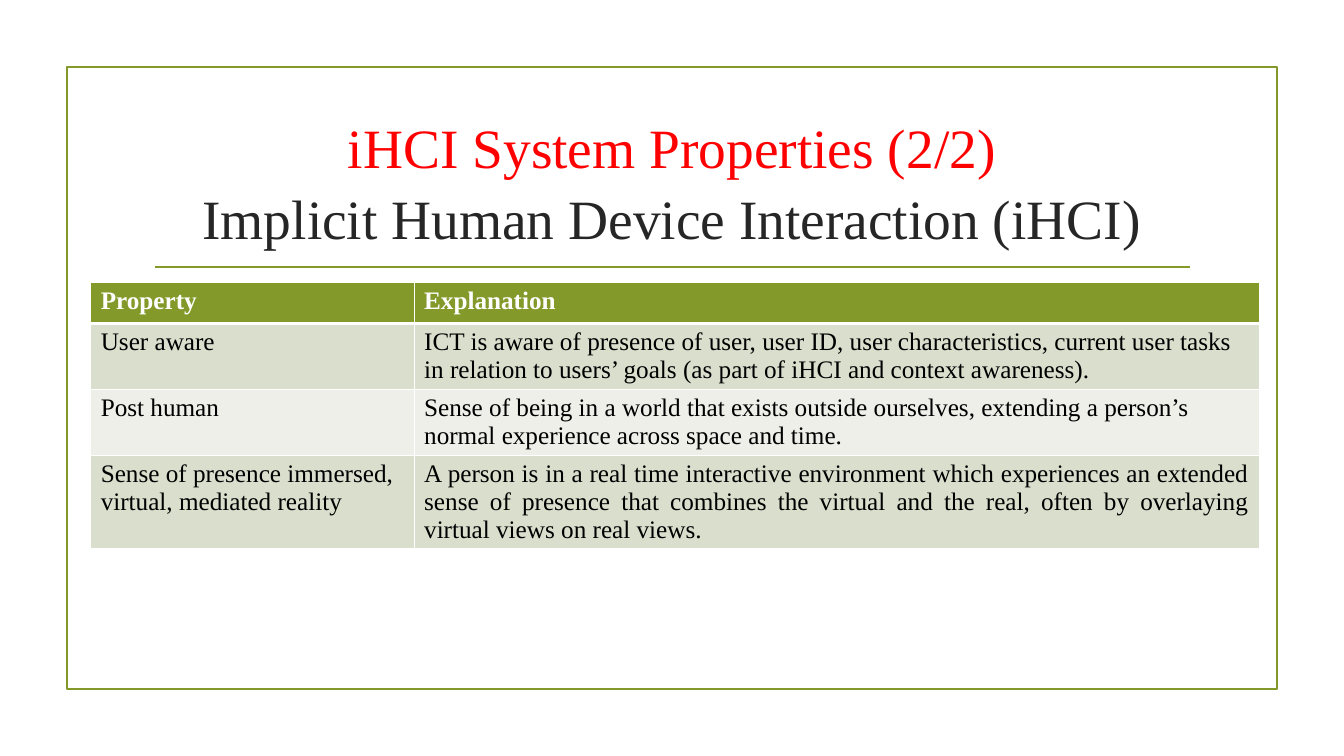
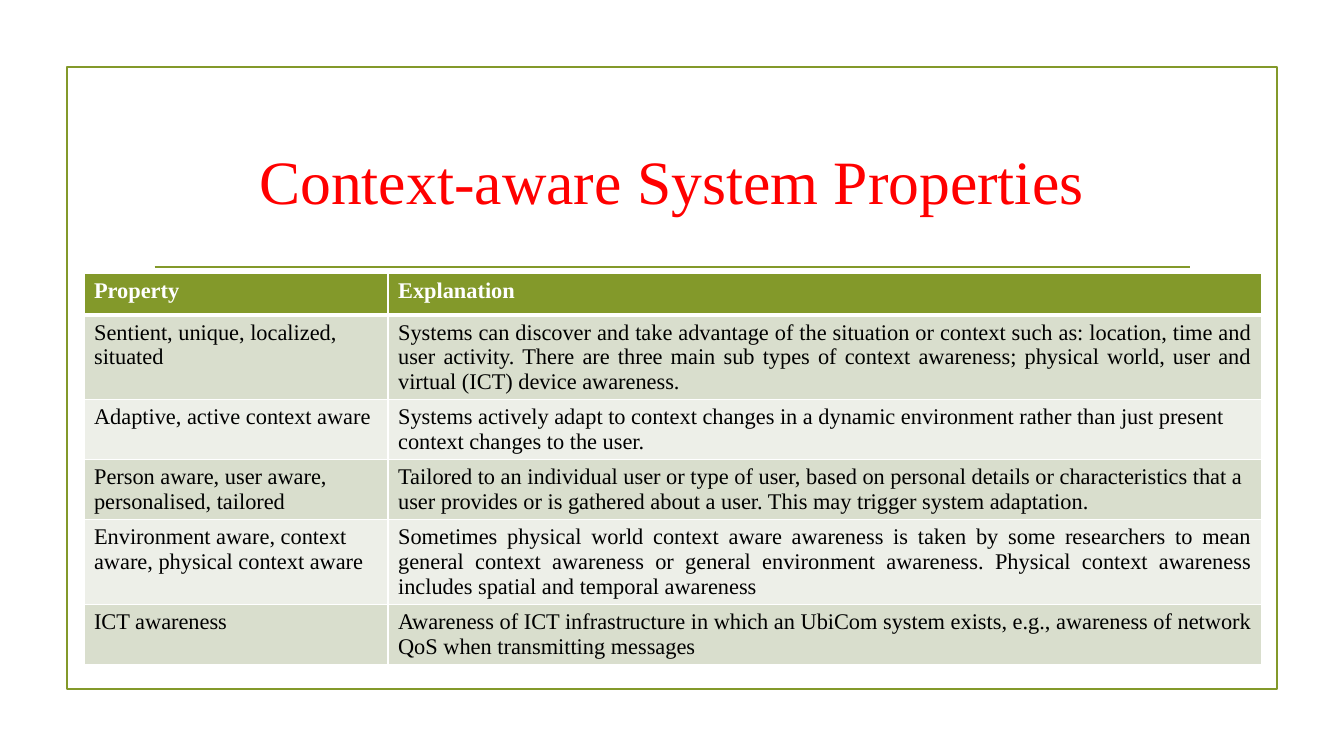
from lxml.etree import SubElement
from pptx import Presentation
from pptx.dml.color import RGBColor
from pptx.enum.shapes import MSO_CONNECTOR as Connector, MSO_SHAPE as Shape
from pptx.enum.text import MSO_ANCHOR as Anchor, MSO_AUTO_SIZE as AutoSize, PP_ALIGN as Align
from pptx.oxml.ns import qn
from pptx.util import Inches, Pt

COLORS = {"green": "83992A", "red": "FF0000", "dark": "262626", "black": "000000",
          "white": "FFFFFF", "band_dark": "D9DECD", "band_light": "EDEFE8"}
FONT = "Times New Roman"
COLUMNS, ROWS = 160, 90
UNIT = Inches(1) / 12
FRAME = (8, 8, 144, 74)
TITLE = (17, 12.8, 126, 17.2)
RULE = (18.4, 31.8, 141.7, 31.8)
ROW_HEIGHT = 4.9
HEADER = ("Property", "Explanation", Align.LEFT)

IHCI_ROWS = [
    ("User aware",
     "ICT is aware of presence of user, user ID, user characteristics, current user tasks "
     "in relation to users’ goals (as part of iHCI and context awareness).", Align.LEFT),
    ("Post human",
     "Sense of being in a world that exists outside ourselves, extending a person’s "
     "normal experience across space and time.", Align.LEFT),
    ("Sense of presence immersed, virtual, mediated reality",
     "A person is in a real time interactive environment which experiences an extended "
     "sense of presence that combines the virtual and the real, often by overlaying "
     "virtual views on real views.", Align.JUSTIFY),
]
CONTEXT_ROWS = [
    ("Sentient, unique, localized, situated",
     "Systems can discover and take advantage of the situation or context such as: location, "
     "time and user activity. There are three main sub types of context awareness; physical "
     "world, user and virtual (ICT) device awareness.", Align.JUSTIFY),
    ("Adaptive, active context aware",
     "Systems actively adapt to context changes in a dynamic environment rather than just "
     "present context changes to the user.", Align.LEFT),
    ("Person aware, user aware, personalised, tailored",
     "Tailored to an individual user or type of user, based on personal details or "
     "characteristics that a user provides or is gathered about a user. This may trigger "
     "system adaptation.", Align.LEFT),
    ("Environment aware, context aware, physical context aware",
     "Sometimes physical world context aware awareness is taken by some researchers to mean "
     "general context awareness or general environment awareness. Physical context awareness "
     "includes spatial and temporal awareness", Align.JUSTIFY),
    ("ICT awareness",
     "Awareness of ICT infrastructure in which an UbiCom system exists, e.g., awareness of "
     "network QoS when transmitting messages", Align.JUSTIFY),
]


def grid(*cells):
    """Turn grid cells into slide lengths."""
    return [round(cell * UNIT) for cell in cells]


def color(name):
    """Look up a named colour."""
    return RGBColor.from_string(COLORS[name])


def write(paragraph, text, size, ink, bold=False, align=Align.LEFT):
    """Add a formatted run to a paragraph."""
    paragraph.alignment = align
    run = paragraph.add_run()
    run.text = text
    run.font.name, run.font.size, run.font.bold = FONT, Pt(size), bold
    run.font.color.rgb = color(ink)


def decorate_layout(layout, slide):
    """Give the layout its frame, rule and title position."""
    frame = slide.shapes.add_shape(Shape.RECTANGLE, *grid(*FRAME))
    frame.shadow.inherit = False
    frame.fill.background()
    rule = slide.shapes.add_connector(Connector.STRAIGHT, *grid(*RULE))
    SubElement(rule._element.spPr, qn("a:effectLst"))
    for number, shape in enumerate((frame, rule), start=101):
        shape.line.color.rgb = color("green")
        shape.line.width = Pt(1.25)
        shape._element.xpath(".//p:cNvPr")[0].set("id", str(number))
        layout.shapes._spTree.append(shape._element)
    title = layout.placeholders[0]
    title.left, title.top, title.width, title.height = grid(*TITLE)
    title.text_frame.vertical_anchor = Anchor.MIDDLE


def fill_title(slide, lines, size):
    """Write the title, one line for each text and colour."""
    text_frame = slide.shapes.title.text_frame
    text_frame.auto_size = AutoSize.NONE
    paragraph = text_frame.paragraphs[0]
    paragraph.line_spacing = 1.06 if len(lines) > 1 else 1.0
    for index, (text, ink) in enumerate(lines):
        if index:
            paragraph.add_line_break()
        write(paragraph, text, size, ink, align=Align.CENTER)


def border(cell, row):
    """Draw white cell borders, thicker below the header."""
    widths = {"L": 1, "R": 1, "T": 3 if row == 1 else 1, "B": 3 if row == 0 else 1}
    for side, width in widths.items():
        line = SubElement(cell._tc.get_or_add_tcPr(), qn(f"a:ln{side}"), w=str(Pt(width)))
        fill = SubElement(line, qn("a:solidFill"))
        SubElement(fill, qn("a:srgbClr"), val=COLORS["white"])


def add_property_table(slide, left, top, widths, rows, size):
    """Add a banded table of properties and explanations."""
    records = [HEADER, *rows]
    box = grid(left, top, sum(widths), ROW_HEIGHT * len(records))
    table = slide.shapes.add_table(len(records), len(widths), *box).table
    for column, width in zip(table.columns, grid(*widths)):
        column.width = width
    for row, (name, explanation, align) in enumerate(records):
        header = row == 0
        band = "green" if header else "band_dark" if row % 2 else "band_light"
        for column, (text, side) in enumerate([(name, Align.LEFT), (explanation, align)]):
            cell = table.cell(row, column)
            border(cell, row)
            cell.fill.solid()
            cell.fill.fore_color.rgb = color(band)
            write(cell.text_frame.paragraphs[0], text, size,
                  "white" if header else "black", bold=header, align=side)


def main():
    """Build and save the presentation."""
    presentation = Presentation()
    presentation.slide_width, presentation.slide_height = grid(COLUMNS, ROWS)
    layout = presentation.slide_layouts[5]
    ihci = presentation.slides.add_slide(layout)
    decorate_layout(layout, ihci)
    fill_title(ihci, [("iHCI System Properties (2/2)", "red"),
                      ("Implicit Human Device Interaction (iHCI)", "dark")], 39.6)
    add_property_table(ihci, 10.8, 33.6, (38.5, 100.6), IHCI_ROWS, 18)
    context = presentation.slides.add_slide(layout)
    fill_title(context, [("Context-aware System Properties", "red")], 44)
    add_property_table(context, 10, 32.6, (36.2, 104), CONTEXT_ROWS, 16)
    presentation.save("out.pptx")


if __name__ == "__main__":
    main()
